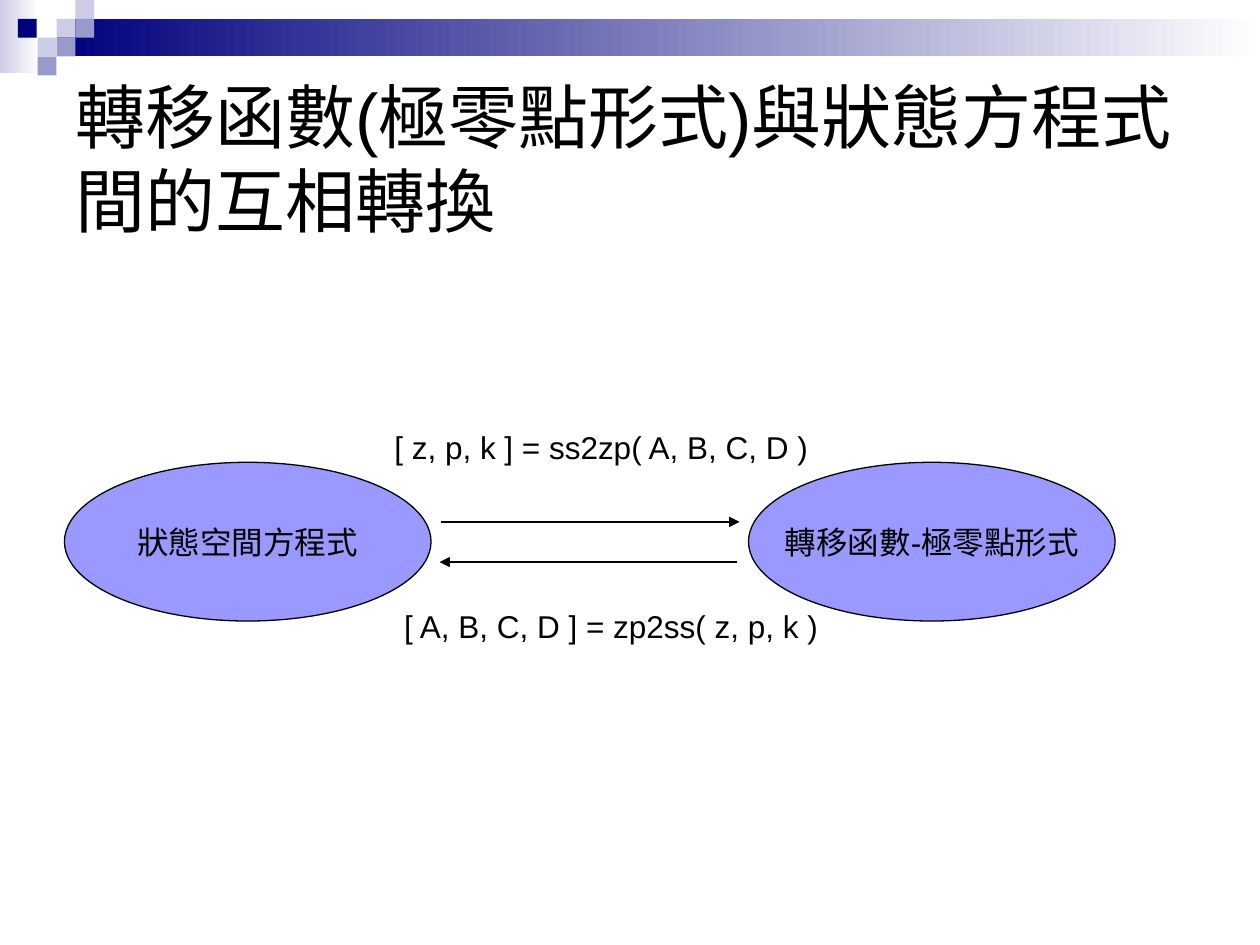
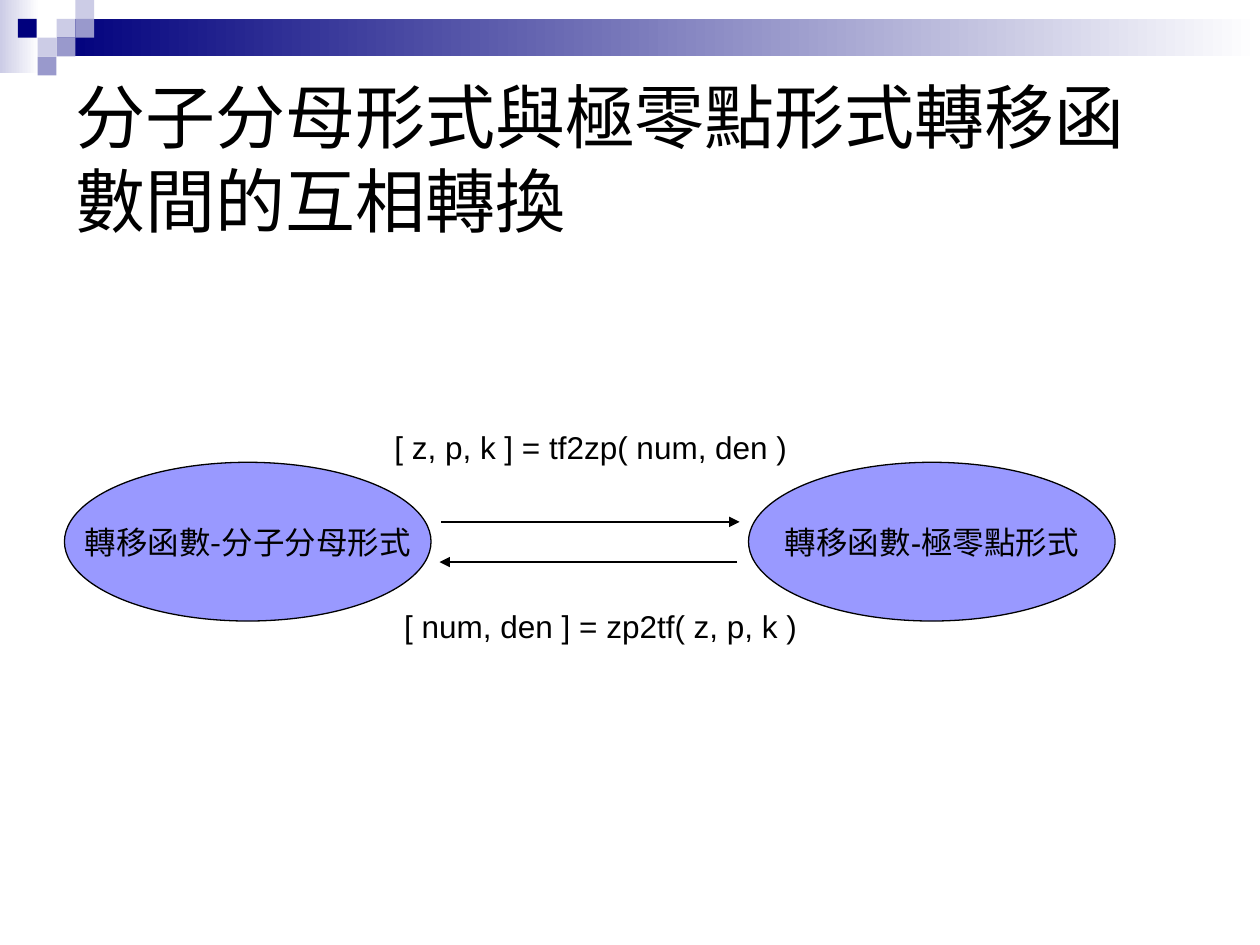
import pptx
import pptx.dml.color
import pptx.enum.shapes
import pptx.enum.text
import pptx.oxml.ns
import pptx.util
from lxml import etree

Cm = pptx.util.Cm
Pt = pptx.util.Pt
Shapes = pptx.enum.shapes.MSO_SHAPE
Align = pptx.enum.text.PP_ALIGN
Anchor = pptx.enum.text.MSO_ANCHOR
qn = pptx.oxml.ns.qn

COLORS = {
    "navy": "00007D",
    "mid": "9999CC",
    "pale": "CCCCE6",
    "node": "9999FF",
    "text": "000000",
    "white": "FFFFFF",
}
LATIN_FONT = "Arial"
CJK_FONT = "Noto Sans CJK SC"

TILE = 0.38
# Column, row and colour of each tile; the grid is one TILE wide.
TILES = [
    (3, 1, "pale"), (4, 0, "pale"), (4, 1, "mid"), (2, 2, "pale"),
    (0.95, 1, "navy"), (3, 2, "mid"), (2, 3, "mid"),
]

NODE_TOP, NODE_WIDTH, NODE_HEIGHT = 9.32, 7.39, 3.2
LEFT_NODE, RIGHT_NODE = 1.3, 15.09

# Title, left node, right node, forward call, backward call, left node font
CONVERSIONS = [
    ("轉移函數(極零點形式)與狀態方程式間的互相轉換",
     "狀態空間方程式", "轉移函數-極零點形式",
     "[ z, p, k ] = ss2zp( A, B, C, D )",
     "[ A, B, C, D ] = zp2ss( z, p, k )", LATIN_FONT),
    ("分子分母形式與極零點形式轉移函數間的互相轉換",
     "轉移函數-分子分母形式", "轉移函數-極零點形式",
     "[ z, p, k ] = tf2zp( num, den )",
     "[ num, den ] = zp2tf( z, p, k )", CJK_FONT),
]


def rgb(name):
    return pptx.dml.color.RGBColor.from_string(COLORS[name])


class Deck:
    def __init__(self):
        self.presentation = pptx.Presentation()
        self.presentation.slide_width = Cm(25.4)
        self.presentation.slide_height = Cm(19.05)
        self.slide = None

    def new_slide(self, title):
        layout = self.presentation.slide_layouts[5]
        self.slide = self.presentation.slides.add_slide(layout)
        self.header()
        self.title(title)

    def set_text(self, shape, text, size, align=Align.LEFT, font=LATIN_FONT):
        paragraph = shape.text_frame.paragraphs[0]
        paragraph.text = text
        paragraph.alignment = align
        for run in paragraph.runs:
            run.font.size = Pt(size)
            run.font.name = font
            run.font.color.rgb = rgb("text")
            east_asian = etree.SubElement(run.font._element, qn("a:ea"))
            east_asian.set("typeface", CJK_FONT)

    def title(self, text):
        shape = self.slide.shapes.title
        shape.left, shape.top = Cm(1.27), Cm(1.27)
        shape.width, shape.height = Cm(22.86), Cm(3.81)
        frame = shape.text_frame
        frame.word_wrap = True
        frame.auto_size = pptx.enum.text.MSO_AUTO_SIZE.NONE
        frame.vertical_anchor = Anchor.MIDDLE
        self.set_text(shape, text, 40)

    def shape(self, kind, left, top, width, height, color, fade=False):
        """Add an unlined preset shape, solid or fading to white at the right."""
        shape = self.slide.shapes.add_shape(
            kind, Cm(left), Cm(top), Cm(width), Cm(height))
        shape.shadow.inherit = False
        shape.line.fill.background()
        if fade:
            shape.fill.gradient()
            shape.fill.gradient_angle = 0
            for stop, name in zip(shape.fill.gradient_stops, (color, "white")):
                stop.color.rgb = rgb(name)
        else:
            shape.fill.solid()
            shape.fill.fore_color.rgb = rgb(color)
        return shape

    def header(self):
        self.shape(Shapes.RECTANGLE, 0, 0, 0.79, 1.47, "pale", fade=True)
        self.shape(Shapes.RECTANGLE, 3 * TILE, TILE, 25.4 - 3 * TILE,
                   2 * TILE, "navy", fade=True)
        for column, row, color in TILES:
            self.shape(Shapes.RECTANGLE, column * TILE, row * TILE,
                       TILE, TILE, color)

    def node(self, text, left, font=LATIN_FONT):
        shape = self.shape(Shapes.OVAL, left, NODE_TOP, NODE_WIDTH,
                           NODE_HEIGHT, "node")
        shape.line.color.rgb = rgb("text")
        shape.line.width = Pt(0.75)
        shape.text_frame.word_wrap = False
        shape.text_frame.vertical_anchor = Anchor.MIDDLE
        self.set_text(shape, text, 18, Align.CENTER, font)

    def arrow(self, start, end, height):
        connector = self.slide.shapes.add_connector(
            pptx.enum.shapes.MSO_CONNECTOR.STRAIGHT,
            Cm(start), Cm(height), Cm(end), Cm(height))
        connector.line.color.rgb = rgb("text")
        connector.line.width = Pt(0.75)
        properties = connector.element.spPr
        line = properties.find(qn("a:ln"))
        etree.SubElement(line, qn("a:tailEnd")).set("type", "triangle")
        etree.SubElement(properties, qn("a:effectLst"))

    def label(self, text, left, top):
        box = self.slide.shapes.add_textbox(
            Cm(left), Cm(top), Cm(8.99), Cm(1.02))
        box.text_frame.word_wrap = True
        self.set_text(box, text, 18)


def main():
    deck = Deck()
    for title, left, right, forward, backward, left_font in CONVERSIONS:
        deck.new_slide(title)
        deck.node(left, LEFT_NODE, left_font)
        deck.node(right, RIGHT_NODE)
        deck.arrow(8.89, 14.91, 10.52)
        deck.arrow(14.86, 8.86, 11.33)
        deck.label(forward, 7.7, 8.51)
        deck.label(backward, 7.9, 12.12)
    deck.presentation.save("out.pptx")


if __name__ == "__main__":
    main()
